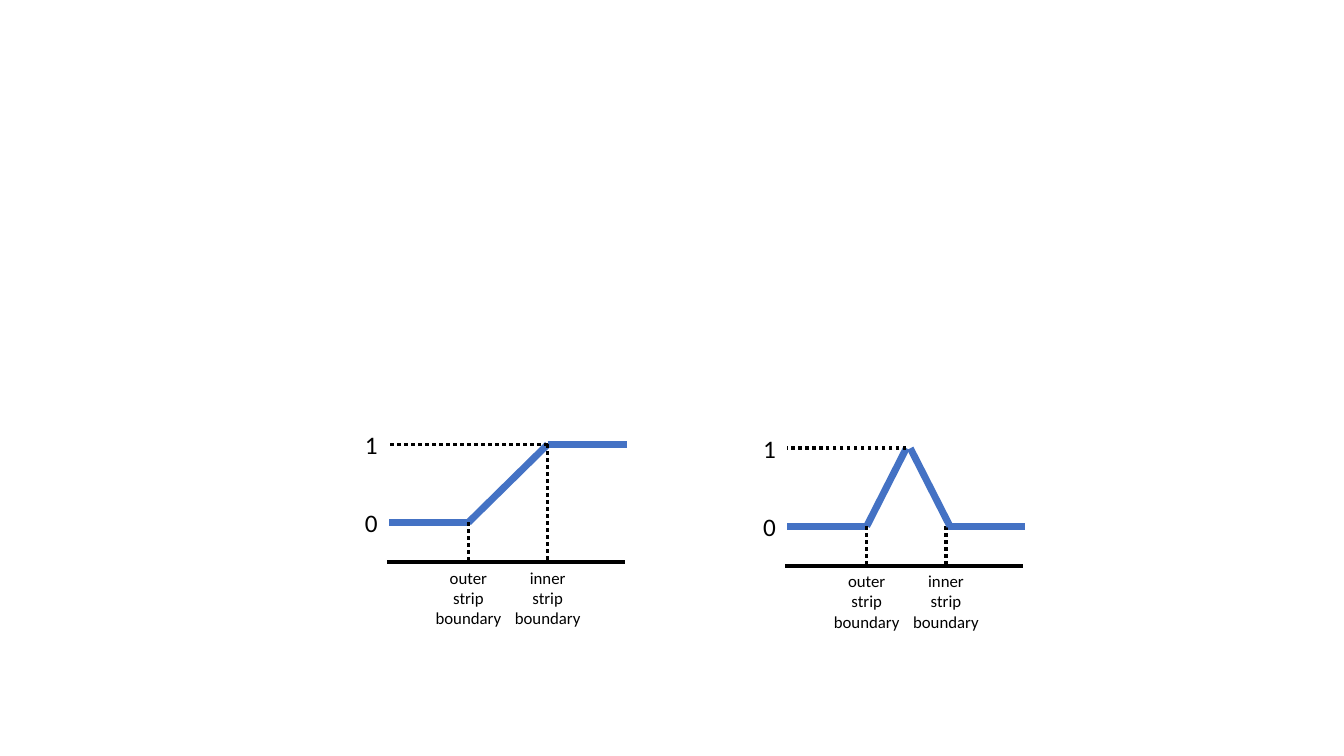
from lxml import etree
from pptx import Presentation
from pptx.dml.color import RGBColor
from pptx.enum.dml import MSO_LINE
from pptx.enum.shapes import MSO_CONNECTOR as CONN
from pptx.enum.text import MSO_AUTO_SIZE as FIT, PP_ALIGN as AL
from pptx.oxml.ns import qn
from pptx.util import Pt

PLOTS = [
    dict(x=278, zero=373.2, peak=2,
         curve=[((0, 0), (1, 0)), ((1, 0), (2, 1)), ((2, 1), (3, 1))],
         front=[], drops=[("outer", 1, 0), ("inner", 2, 1)]),
    dict(x=562.5, zero=375.9, peak=1.5,
         curve=[((0, 0), (1, 0)), ((1, 0), (1.5, 1)), ((2, 0), (3, 0))],
         front=[((2.05, 0), (1.55, 1))],
         drops=[("outer", 1, 0), ("inner", 2, 0)]),
]
LEVELS = [0, 1]
STEP, RISE, AXIS_GAP, AXIS_SHIFT = 56.6, 55.7, 28.4, -1.7
BOUNDARY_W, BOUNDARY_H = 62, 51
LEVEL_W, LEVEL_H, LEVEL_GAP = 23.8, 29, 24.5
THEME = dict(font="Calibri", ink="000000", curve="4472C4",
             small=12, large=18, thin=2.5, thick=5)

prs = Presentation()
prs.slide_width, prs.slide_height = Pt(960), Pt(540)
s = prs.slides.add_slide(prs.slide_layouts[6])


def line(start, end, color="ink", width="thin", dotted=False):
    c = s.shapes.add_connector(CONN.STRAIGHT, *map(Pt, (*start, *end)))
    c.line.color.rgb = RGBColor.from_string(THEME[color])
    c.line.width = Pt(THEME[width])
    if dotted:
        c.line.dash_style = MSO_LINE.ROUND_DOT
    etree.SubElement(c._element.spPr, qn("a:effectLst"))


def label(text, x, y, w, h, size="small", align=AL.LEFT):
    tf = s.shapes.add_textbox(*map(Pt, (x, y, w, h))).text_frame
    tf.word_wrap = False
    tf.auto_size = FIT.SHAPE_TO_FIT_TEXT
    tf.text = text
    for p in tf.paragraphs:
        p.alignment = align
        for r in p.runs:
            r.font.name = THEME["font"]
            r.font.size = Pt(THEME[size])
            r.font.color.rgb = RGBColor.from_string(THEME["ink"])


def draw(plot):
    def at(step, level):
        return plot["x"] + step * STEP, plot["zero"] - level * RISE

    def trace(segments):
        for start, end in segments:
            line(at(*start), at(*end), "curve", "thick")

    axis_y = plot["zero"] + AXIS_GAP
    trace(plot["curve"])
    line((at(0, 0)[0] + AXIS_SHIFT, axis_y), (at(3, 0)[0] + AXIS_SHIFT, axis_y))
    for side, step, level in plot["drops"]:
        x, y = at(step, level)
        line((x, y), (x, axis_y), dotted=True)
        label(f"{side}\nstrip\nboundary", x - BOUNDARY_W / 2, axis_y,
              BOUNDARY_W, BOUNDARY_H, align=AL.CENTER)
    line(at(plot["peak"], 1), at(0, 1), dotted=True)
    for level in LEVELS:
        x, y = at(0, level)
        label(str(level), x - LEVEL_GAP, y - LEVEL_H / 2, LEVEL_W, LEVEL_H, "large")
    trace(plot["front"])


for plot in PLOTS:
    draw(plot)

prs.save("out.pptx")
